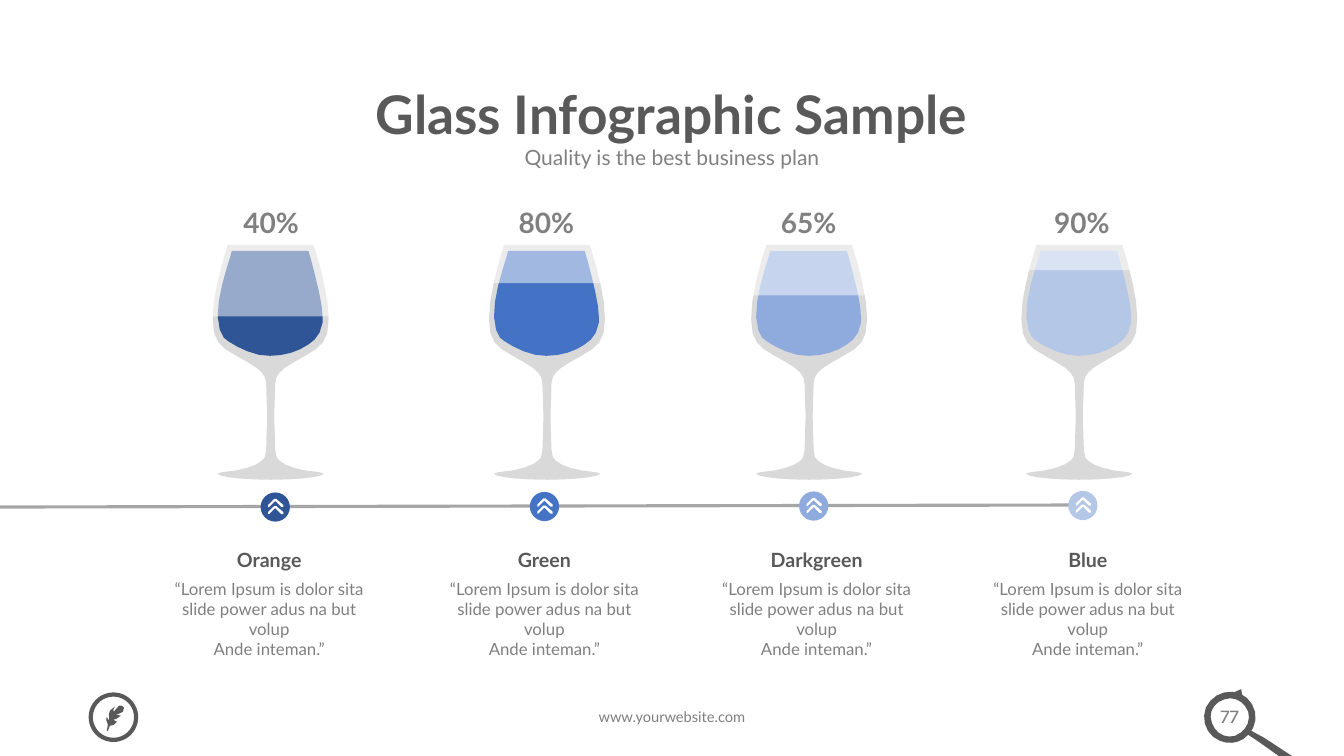
from math import dist

from lxml.etree import SubElement
from pptx import Presentation
from pptx.dml.color import RGBColor
from pptx.enum.shapes import MSO_CONNECTOR as Connector, MSO_SHAPE as Shape
from pptx.enum.text import MSO_ANCHOR as Anchor, PP_ALIGN as Align
from pptx.oxml.ns import qn
from pptx.util import Inches, Pt

TITLE = "Glass Infographic Sample"
SUBTITLE = "Quality is the best business plan"
DESCRIPTION = ["“Lorem Ipsum is dolor sita slide power adus na but volup", "Ande inteman.”"]
WEBSITE = "www.yourwebsite.com"
PAGE = "77"
DARK, GREY, GLASS_GREY, LINE_GREY, WHITE = "595959", "808080", "D9D9D9", "A6A6A6", "FFFFFF"

GLASSES = [
    ("Orange", "40%", "2F5597", 2.11, 2.18, 1.49, 2.40, 0.74),
    ("Green", "80%", "4472C4", 4.85, 4.91, 4.22, 2.40, 0.41),
    ("Darkgreen", "65%", "8FAADC", 7.45, 7.51, 6.92, 2.43, 0.50),
    ("Blue", "90%", "B4C7E7", 10.13, 10.22, 9.61, 2.42, 0.26),
]
GLASS_TOP, GLASS_WIDTH = 2.43, 1.15
NODE_LEFT, NODE_PITCH, NODE_SIZE = 2.73, 2.67, 0.29

GLASS_HALF = [
    (0.15, 0), (0.15, 0, -0.01, 0.48, 0, 0.74), (0, 1.01, 0.12, 1.03, 0.34, 1.16),
    (0.54, 1.27, 0.52, 1.33, 0.53, 1.38), (0.54, 1.7), (0.53, 2.03), (0.52, 2.09),
    (0.52, 2.12, 0.46, 2.2, 0.22, 2.24), (0.12, 2.25, 0.05, 2.26, 0.05, 2.27),
    (0.05, 2.3, 0.29, 2.33, 0.57, 2.33),
]
WINE = [
    (1.09, 0.72), (1.1, 0.59, 0.97, 0.12, 0.95, 0.06), (0.19, 0.06),
    (0.18, 0.12, 0.04, 0.48, 0.05, 0.72), (0.06, 0.77), (0.07, 0.84), (0.11, 0.92),
    (0.16, 0.97, 0.39, 1.11, 0.57, 1.1), (0.76, 1.1, 0.91, 1.03, 1.01, 0.94),
    (1.06, 0.87), (1.09, 0.77),
]
CHEVRON = [
    (-0.06, 0), (-0.07, 0), (-0.07, -0.02), (-0.01, -0.08), (0.01, -0.08),
    (0.08, -0.02), (0.08, 0), (0.06, 0), (0, -0.06),
]
LENS = [
    (12.25, 7.3), (12.15, 7.33, 12.05, 7.27, 12.02, 7.17),
    (11.98, 7.07, 12.04, 6.97, 12.14, 6.94), (12.24, 6.9, 12.34, 6.96, 12.38, 7.06),
    (12.41, 7.16, 12.35, 7.26, 12.25, 7.3),
]
MAGNIFIER = [
    (12.92, 7.57), (12.54, 7.32), (12.41, 7.25), (12.43, 7.22),
    (12.49, 7.09, 12.43, 6.94, 12.3, 6.88), (12.17, 6.83, 12.02, 6.89, 11.96, 7.02),
    (11.91, 7.15, 11.97, 7.3, 12.1, 7.35), (12.2, 7.39, 12.31, 7.37, 12.38, 7.29),
    (12.5, 7.37), (12.88, 7.64), (12.92, 7.62),
]
FEATHER = [
    (1.07, 7.25), (1.09, 7.2), (1.12, 7.19, 1.14, 7.2, 1.16, 7.16), (1.12, 7.14),
    (1.12, 7.13, 1.17, 7.15, 1.2, 7.1), (1.15, 7.09), (1.17, 7.08, 1.2, 7.08, 1.22, 7.06),
    (1.23, 7.02), (1.23, 7.01, 1.2, 6.99, 1.18, 7), (1.13, 7.06),
    (1.12, 7.06, 1.12, 7.03, 1.14, 7.01), (1.09, 7.05),
    (1.07, 7.08, 1.09, 7.15, 1.08, 7.15), (1.06, 7.11), (1.05, 7.13, 1.05, 7.15, 1.07, 7.19),
    (1.06, 7.25),
]

presentation = Presentation()
presentation.slide_width, presentation.slide_height = Inches(13.33), Inches(7.5)
slide = presentation.slides.add_slide(presentation.slide_layouts[5])
shapes = slide.shapes


def rgb(color):
    return RGBColor.from_string(color)


def trace(outline):
    points = [outline[0]]
    for segment in outline[1:]:
        if len(segment) == 2:
            points.append(segment)
            continue
        x0, y0 = points[-1]
        x1, y1, x2, y2, x3, y3 = segment
        steps = min(5, 1 + int(dist((x0, y0), (x3, y3)) / 0.05))
        for step in range(1, steps + 1):
            t = step / steps
            a, b, c, d = (1 - t) ** 3, 3 * t * (1 - t) ** 2, 3 * t * t * (1 - t), t ** 3
            points.append((a * x0 + b * x1 + c * x2 + d * x3, a * y0 + b * y1 + c * y2 + d * y3))
    return points


def paint(shape, color):
    shape.shadow.inherit = False
    shape.fill.solid()
    shape.fill.fore_color.rgb = rgb(color)
    shape.line.fill.background()
    return shape


def add_outline(contours, color, left=0, top=0):
    moved = [[(Inches(left + x), Inches(top + y)) for x, y in points] for points in contours]
    builder = shapes.build_freeform(*moved[0][0], scale=1.0)
    for index, points in enumerate(moved):
        if index:
            builder.move_to(*points[0])
        builder.add_line_segments(points[1:], close=True)
    return paint(builder.convert_to_shape(), color)


def add_shape(kind, left, top, width, height, color):
    shape = shapes.add_shape(kind, Inches(left), Inches(top), Inches(width), Inches(height))
    return paint(shape, color)


def write(frame, lines, size, color, bold=False, font="Lato", anchor=Anchor.TOP, spacing=None):
    frame.word_wrap = True
    frame.vertical_anchor = anchor
    frame.text = "\n".join(lines)
    for paragraph in frame.paragraphs:
        paragraph.alignment = Align.CENTER
        paragraph.line_spacing = spacing
        paragraph.font.name, paragraph.font.size = font, Pt(size)
        paragraph.font.bold, paragraph.font.color.rgb = bold, rgb(color)


def add_text(lines, left, top, width, height, size, color, **style):
    box = shapes.add_textbox(Inches(left), Inches(top), Inches(width), Inches(height))
    write(box.text_frame, lines, size, color, **style)


title = shapes.title
title.left, title.top, title.width, title.height = map(Inches, (1.66, 0.75, 10, 0.82))
write(title.text_frame, [TITLE], 38, DARK, bold=True, anchor=Anchor.MIDDLE, spacing=0.9)
add_text([SUBTITLE], 2.67, 1.38, 7.99, 0.39, 15, GREY)

timeline = shapes.add_connector(
    Connector.STRAIGHT, Inches(0), Inches(5.03), Inches(10.83), Inches(5.01))
timeline.line.color.rgb, timeline.line.width = rgb(LINE_GREY), Pt(2.25)
SubElement(timeline._element.spPr, qn("a:effectLst"))

left_half = trace(GLASS_HALF)
glass_points = left_half + [(GLASS_WIDTH - x, y) for x, y in reversed(left_half)]
wine_points = trace(WINE)

for index, (name, percent, color, left, percent_left, text_left, top, height) in enumerate(GLASSES):
    add_outline([glass_points], GLASS_GREY, left, GLASS_TOP)
    add_outline([wine_points], color, left, GLASS_TOP)
    empty_part = add_shape(Shape.RECTANGLE, left - 0.08, top, 1.26, height, WHITE)
    fill_color = empty_part._element.spPr.find(qn("a:solidFill"))[0]
    SubElement(fill_color, qn("a:alpha"), val="50000")
    add_text([percent], percent_left, 2.08, 1.02, 0.34, 20, GREY, bold=True, spacing=0.7)

    x, y = NODE_LEFT + index * NODE_PITCH, 5.03 - index * 0.005
    add_shape(Shape.OVAL, x - NODE_SIZE / 2, y - NODE_SIZE / 2, NODE_SIZE, NODE_SIZE, color)
    for drop in (0, 0.07):
        add_outline([CHEVRON], WHITE, x, y + drop)

    add_text(DESCRIPTION, text_left, 5.69, 2.36, 0.71, 12, GREY)
    add_text([name], text_left + 0.54, 5.41, 1.28, 0.29, 14, DARK, bold=True, anchor=Anchor.MIDDLE)

add_text([WEBSITE], 4.25, 6.97, 4.83, 0.29, 10.5, GREY)

add_text([PAGE], 11.89, 6.93, 0.61, 0.34, 14, GREY, font="Karla")
arrow = add_shape(Shape.RIGHT_ARROW, 12.23, 6.83, 0.11, 0.11, DARK)
arrow.rotation = 298.7
arrow.adjustments[0], arrow.adjustments[1] = 0.32, 0.64
add_outline([trace(LENS), trace(MAGNIFIER)], DARK)

badge = add_shape(Shape.OVAL, 0.9, 6.89, 0.45, 0.45, WHITE)
badge.fill.background()
badge.line.color.rgb, badge.line.width = rgb(DARK), Pt(3)
add_outline([trace(FEATHER)], DARK)

presentation.save("out.pptx")
